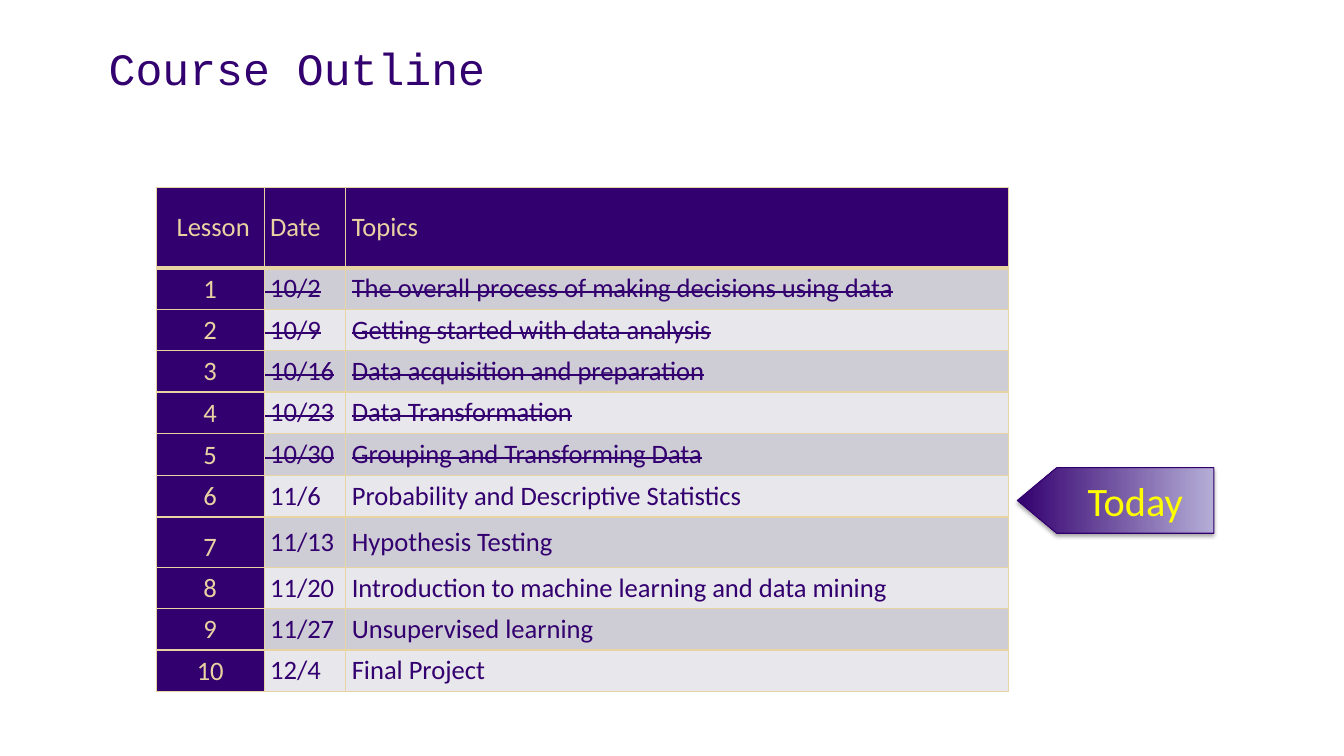
"""Build the course outline slide with its lesson table and today marker."""
from lxml import etree
from pptx import Presentation
from pptx.dml.color import RGBColor
from pptx.enum.shapes import MSO_SHAPE
from pptx.enum.text import MSO_ANCHOR, PP_ALIGN
from pptx.oxml.ns import qn
from pptx.util import Inches, Pt

TITLE = "Course Outline"
MARKER = "Today"
HEADINGS = ("Lesson", "Date", "Topics")
LESSONS = [
    ("10/2", "The overall process of making decisions using data"),
    ("10/9", "Getting started with data analysis"),
    ("10/16", "Data acquisition and preparation"),
    ("10/23", "Data Transformation"),
    ("10/30", "Grouping and Transforming Data"),
    ("11/6", "Probability and Descriptive Statistics"),
    ("11/13", "Hypothesis Testing"),
    ("11/20", "Introduction to machine learning and data mining"),
    ("11/27", "Unsupervised learning"),
    ("12/4", "Final Project"),
]
LESSONS_DONE = 5

PURPLE = RGBColor(0x33, 0x00, 0x6F)
OUTLINE = RGBColor(0x32, 0x00, 0x6D)
LILAC = RGBColor(0xB5, 0xAE, 0xD7)
GOLD = RGBColor(0xE8, 0xD3, 0xA2)
YELLOW = RGBColor(0xFF, 0xFF, 0x00)
BLACK = RGBColor(0x00, 0x00, 0x00)
BANDS = (RGBColor(0xE8, 0xE7, 0xEB), RGBColor(0xCE, 0xCC, 0xD5))

MIDDLE, BOTTOM = MSO_ANCHOR.MIDDLE, MSO_ANCHOR.BOTTOM
LEFT, CENTER = PP_ALIGN.LEFT, PP_ALIGN.CENTER
PENTAGON = MSO_SHAPE.FLOWCHART_OFFPAGE_CONNECTOR

SLIDE_SIZE = (13.33, 7.5)
TITLE_BOX = (0.98, 0.41, 11.93, 1.08)
TABLE_ORIGIN = (1.55, 1.86)
COLUMN_WIDTHS = (1.07, 0.81, 6.57)
HEADER_HEIGHT, ROW_HEIGHT = 0.8, 0.41
TALLER_ROWS = {5: 0.42, 7: 0.5}
CELL_MARGINS = ((0.06, 0.04), (0, 0), (0.06, 0.04))
MARKER_BOX = (10.74, 3.99, 0.65, 1.95)


def write_text(frame, text, size, color, font="Calibri", align=LEFT, strike=False):
    paragraph = frame.paragraphs[0]
    paragraph.alignment = align
    run = paragraph.add_run()
    run.text = text
    run.font.size = Pt(size)
    run.font.name = font
    run.font.color.rgb = color
    if strike:
        run.font._element.set("strike", "sngStrike")
    return paragraph


def add_color(parent, color):
    return etree.SubElement(parent, qn("a:srgbClr"), val=str(color))


def set_borders(cell, bottom_width):
    properties = cell._tc.get_or_add_tcPr()
    for side, width in (("L", 1), ("R", 1), ("T", 1), ("B", bottom_width)):
        line = etree.SubElement(properties, qn(f"a:ln{side}"), w=str(Pt(width)))
        add_color(etree.SubElement(line, qn("a:solidFill")), GOLD)


def add_title(slide):
    frame = slide.shapes.add_textbox(*map(Inches, TITLE_BOX)).text_frame
    frame.word_wrap = True
    paragraph = write_text(frame, TITLE, 32, PURPLE, font="Courier New")
    paragraph.line_spacing = 0.9


def add_lesson_table(slide):
    rows = [HEADINGS] + [(str(n), *lesson) for n, lesson in enumerate(LESSONS, 1)]
    heights = [HEADER_HEIGHT] + [
        TALLER_ROWS.get(n, ROW_HEIGHT) for n in range(1, len(rows))
    ]
    size = (sum(COLUMN_WIDTHS), sum(heights))
    table = slide.shapes.add_table(
        len(rows), len(HEADINGS), *map(Inches, TABLE_ORIGIN + size)
    ).table
    for column, width in zip(table.columns, COLUMN_WIDTHS):
        column.width = Inches(width)
    for r, (row, height) in enumerate(zip(rows, heights)):
        table.rows[r].height = Inches(height)
        for c, text in enumerate(row):
            cell = table.cell(r, c)
            header, number = r == 0, c == 0
            dark = header or number
            side, edge = map(Inches, CELL_MARGINS[c])
            cell.margin_left = cell.margin_right = side
            cell.margin_top = cell.margin_bottom = edge
            cell.vertical_anchor = BOTTOM if number and not header else MIDDLE
            set_borders(cell, 3 if header else 1)
            cell.fill.solid()
            cell.fill.fore_color.rgb = PURPLE if dark else BANDS[r % 2]
            indented = c == 1 or (header and number)
            write_text(
                cell.text_frame,
                f" {text}" if indented else text,
                19,
                GOLD if dark else PURPLE,
                align=CENTER if number else LEFT,
                strike=not dark and r <= LESSONS_DONE,
            )


def add_marker(slide):
    marker = slide.shapes.add_shape(PENTAGON, *map(Inches, MARKER_BOX))
    marker.rotation = 90
    marker.fill.gradient()
    marker.fill.gradient_angle = 90
    for stop, color in zip(marker.fill.gradient_stops, (PURPLE, LILAC)):
        stop.color.rgb = color
    marker.line.color.rgb = OUTLINE
    marker.line.width = Pt(0.75)
    marker.shadow.inherit = False
    effects = marker._element.spPr.find(qn("a:effectLst"))
    shadow = etree.SubElement(
        effects, qn("a:outerShdw"), blurRad=str(Pt(3.1)), dist=str(Pt(1.8)),
        dir="5400000", rotWithShape="0",
    )
    etree.SubElement(add_color(shadow, BLACK), qn("a:alpha"), val="35000")
    frame = marker.text_frame
    frame.vertical_anchor = MIDDLE
    frame._txBody.bodyPr.set("vert", "vert270")
    write_text(frame, MARKER, 28.8, YELLOW, align=CENTER)


def main():
    presentation = Presentation()
    presentation.slide_width, presentation.slide_height = map(Inches, SLIDE_SIZE)
    slide = presentation.slides.add_slide(presentation.slide_layouts[6])
    add_title(slide)
    add_lesson_table(slide)
    add_marker(slide)
    presentation.save("out.pptx")


if __name__ == "__main__":
    main()
